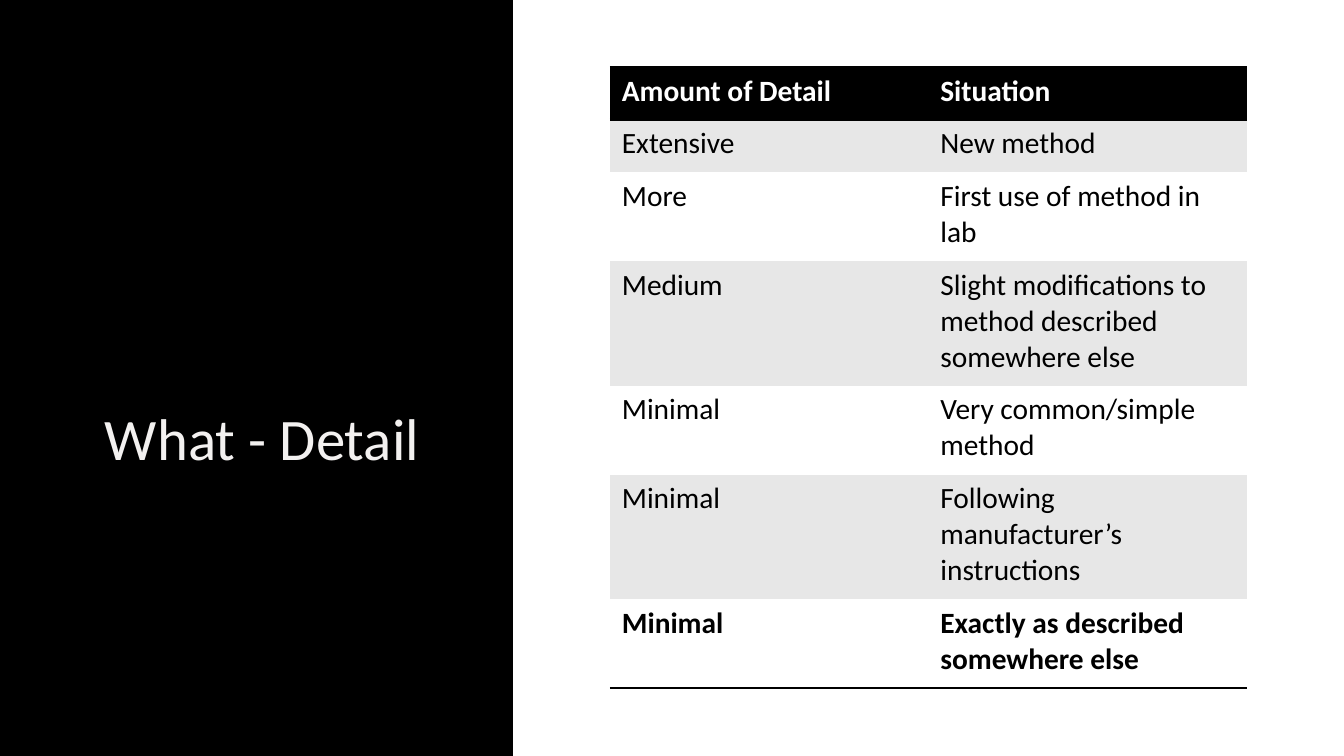
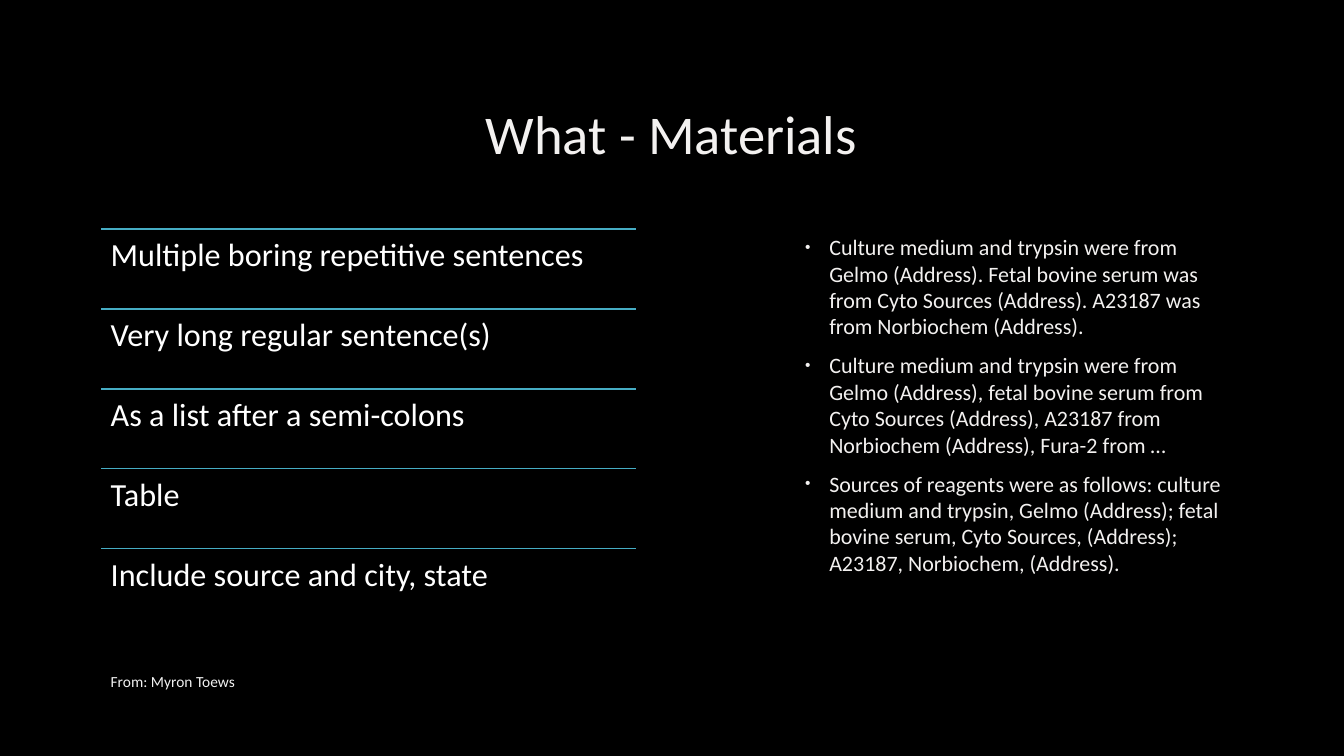
from dataclasses import dataclass
from typing import Any

from lxml import etree
from pptx import Presentation
from pptx import util as u
from pptx.dml.color import RGBColor
from pptx.enum import shapes, text
from pptx.oxml.ns import qn

Pt = u.Pt

FONT = "Calibri"
BLACK, WHITE, CREAM = "000000", "FFFFFF", "F3F1F0"
GREY, TEAL, FOOTER = "E7E7E7", "46ADC4", "F2F2F2"
OUTLINE = "404040"
NO_STYLE = "{2D5ABB26-0587-4C30-8999-92F81FD0307C}"
TOP, MIDDLE, BOTTOM = text.MSO_ANCHOR.TOP, text.MSO_ANCHOR.MIDDLE, text.MSO_ANCHOR.BOTTOM
LEFT, CENTER = text.PP_ALIGN.LEFT, text.PP_ALIGN.CENTER


@dataclass(frozen=True)
class Box:
    left: float
    top: float
    width: float
    height: float

    def lengths(self) -> tuple:
        return Pt(self.left), Pt(self.top), Pt(self.width), Pt(self.height)


@dataclass(frozen=True)
class Row:
    amount: str
    situation: str
    height: float
    fill: str
    color: str = BLACK
    bold: bool = False
    borders: tuple = ()


ROWS = (
    Row("Amount of Detail", "Situation", 37.6, BLACK, WHITE, True, ("a:lnT", "a:lnB")),
    Row("Extensive", "New method", 37.6, GREY),
    Row("More", "First use of method in lab", 63.4, WHITE),
    Row("Medium", "Slight modifications to method described somewhere else", 89.2, GREY),
    Row("Minimal", "Very common/simple method", 63.4, WHITE),
    Row("Minimal", "Following manufacturer’s instructions", 89.2, GREY),
    Row("Minimal", "Exactly as described somewhere else", 63.4, WHITE, BLACK, True, ("a:lnB",)),
)
FORMS = (
    "Multiple boring repetitive sentences",
    "Very long regular sentence(s)",
    "As a list after a semi-colons",
    "Table",
    "Include source and city, state",
)
EXAMPLES = (
    "Culture medium and trypsin were from Gelmo (Address). Fetal bovine serum was "
    "from Cyto Sources (Address). A23187 was from Norbiochem (Address).",
    "Culture medium and trypsin were from Gelmo (Address), fetal bovine serum from "
    "Cyto Sources (Address), A23187 from Norbiochem (Address), Fura-2 from …",
    "Sources of reagents were as follows: culture medium and trypsin, Gelmo (Address); "
    "fetal bovine serum, Cyto Sources, (Address); A23187, Norbiochem, (Address).",
)


def rgb(value: str) -> RGBColor:
    return RGBColor.from_string(value)


def assign(target: Any, values: dict) -> None:
    for name, value in values.items():
        setattr(target, name, value)


def sub(parent: Any, tag: str, **attributes: str) -> Any:
    return etree.SubElement(parent, qn(tag), attributes)


def solid(parent: Any, color: str) -> Any:
    return sub(sub(parent, "a:solidFill"), "a:srgbClr", val=color)


def write(p: Any, words: str, size: float, color: str, bold: bool = False) -> Any:
    r = p.add_run()
    r.text = words
    assign(r.font, {"name": FONT, "size": Pt(size), "bold": bold})
    r.font.color.rgb = rgb(color)
    return r


def outline(r: Any) -> None:
    properties = r.font._element
    ln = sub(properties, "a:ln", w=str(Pt(0.75)))
    sub(solid(ln, OUTLINE), "a:alpha", val="10000")
    sub(ln, "a:prstDash", val="solid")
    properties.insert(0, ln)


def add_title(s: Any, words: str, box: Box, size: float, anchor: Any, align: Any) -> None:
    sp = s.shapes.title
    assign(sp, dict(zip(("left", "top", "width", "height"), box.lengths())))
    assign(sp.text_frame, {"word_wrap": True, "auto_size": text.MSO_AUTO_SIZE.NONE,
                           "vertical_anchor": anchor})
    p = sp.text_frame.paragraphs[0]
    assign(p, {"alignment": align, "line_spacing": 0.9, "space_before": Pt(0)})
    outline(write(p, words, size, CREAM))


def add_box(s: Any, box: Box, anchor: Any = TOP, inset: float = 3.6) -> Any:
    tf = s.shapes.add_textbox(*box.lengths()).text_frame
    assign(tf, {"word_wrap": True, "vertical_anchor": anchor,
                "margin_top": Pt(inset), "margin_bottom": Pt(inset)})
    return tf


def add_rule(s: Any, left: float, top: float, width: float) -> None:
    line = s.shapes.add_connector(shapes.MSO_CONNECTOR.STRAIGHT,
                                  Pt(left), Pt(top), Pt(left + width), Pt(top))
    line.line.color.rgb = rgb(TEAL)
    line.line.width = Pt(1.25)
    sub(line._element.spPr, "a:effectLst")


def add_panel(s: Any, box: Box, color: str) -> None:
    sp = s.shapes.add_shape(shapes.MSO_SHAPE.RECTANGLE, *box.lengths())
    sp.shadow.inherit = False
    sp.fill.solid()
    sp.fill.fore_color.rgb = rgb(color)
    sp.line.fill.background()


def fill_cell(cell: Any, words: str, row: Row) -> None:
    assign(cell, {"margin_left": Pt(8.64), "margin_right": Pt(8.64),
                  "margin_top": Pt(4.32), "margin_bottom": Pt(4.32)})
    properties = cell._tc.get_or_add_tcPr()
    for side in row.borders:
        solid(sub(properties, side, w=str(Pt(2))), BLACK)
    cell.fill.solid()
    cell.fill.fore_color.rgb = rgb(row.fill)
    write(cell.text_frame.paragraphs[0], words, 21, row.color, row.bold)


def add_detail_table(s: Any, left: float, top: float, column: float) -> None:
    box = Box(left, top, 2 * column, sum(row.height for row in ROWS))
    table = s.shapes.add_table(len(ROWS), 2, *box.lengths()).table
    table._tbl.tblPr.find(qn("a:tableStyleId")).text = NO_STYLE
    assign(table, {"first_row": True, "horz_banding": False})
    for index, row in enumerate(ROWS):
        table.rows[index].height = Pt(row.height)
        for column_index, words in enumerate((row.amount, row.situation)):
            fill_cell(table.cell(index, column_index), words, row)


def add_forms(s: Any, left: float, top: float, width: float, pitch: float) -> None:
    for index, words in enumerate(FORMS):
        y = top + index * pitch
        add_rule(s, left, y, width)
        p = add_box(s, Box(left, y, width, pitch), inset=7.2).paragraphs[0]
        p.line_spacing = 0.9
        write(p, words, 23, WHITE)


def add_examples(s: Any, box: Box) -> None:
    tf = add_box(s, box)
    for index, words in enumerate(EXAMPLES):
        p = tf.add_paragraph() if index else tf.paragraphs[0]
        assign(p, {"space_before": Pt(3 if index else 0), "space_after": Pt(6)})
        properties = p._p.get_or_add_pPr()
        properties.set("marL", str(Pt(80.6)))
        properties.set("indent", str(Pt(-17.3)))
        sub(sub(properties, "a:buClr"), "a:srgbClr", val=CREAM)
        sub(properties, "a:buSzPct", val="70000")
        sub(properties, "a:buFont", typeface="Arial")
        sub(properties, "a:buChar", char="•")
        outline(write(p, words, 15.7, CREAM))


def build_detail(s: Any) -> None:
    add_title(s, "What - Detail", Box(67.7, 65.5, 266.4, 275.8), 42, BOTTOM, LEFT)
    add_panel(s, Box(366.5, 0, 593.5, 540), WHITE)
    add_detail_table(s, 435.6, 47.9, 227.5)


def build_materials(s: Any) -> None:
    add_title(s, "What - Materials", Box(72, 48, 815, 99.4), 39, MIDDLE, CENTER)
    add_forms(s, 72, 163.4, 382.5, 57.1)
    add_examples(s, Box(504.7, 163.4, 382.5, 285))
    tf = add_box(s, Box(72, 472.3, 525.6, 28.8), MIDDLE)
    write(tf.paragraphs[0], "From: Myron Toews", 11, FOOTER)


def main() -> None:
    prs = Presentation()
    assign(prs, {"slide_width": Pt(960), "slide_height": Pt(540)})
    background = prs.slide_master.background.fill
    background.solid()
    background.fore_color.rgb = rgb(BLACK)
    for build in (build_detail, build_materials):
        build(prs.slides.add_slide(prs.slide_layouts[5]))
    prs.save("out.pptx")


if __name__ == "__main__":
    main()
